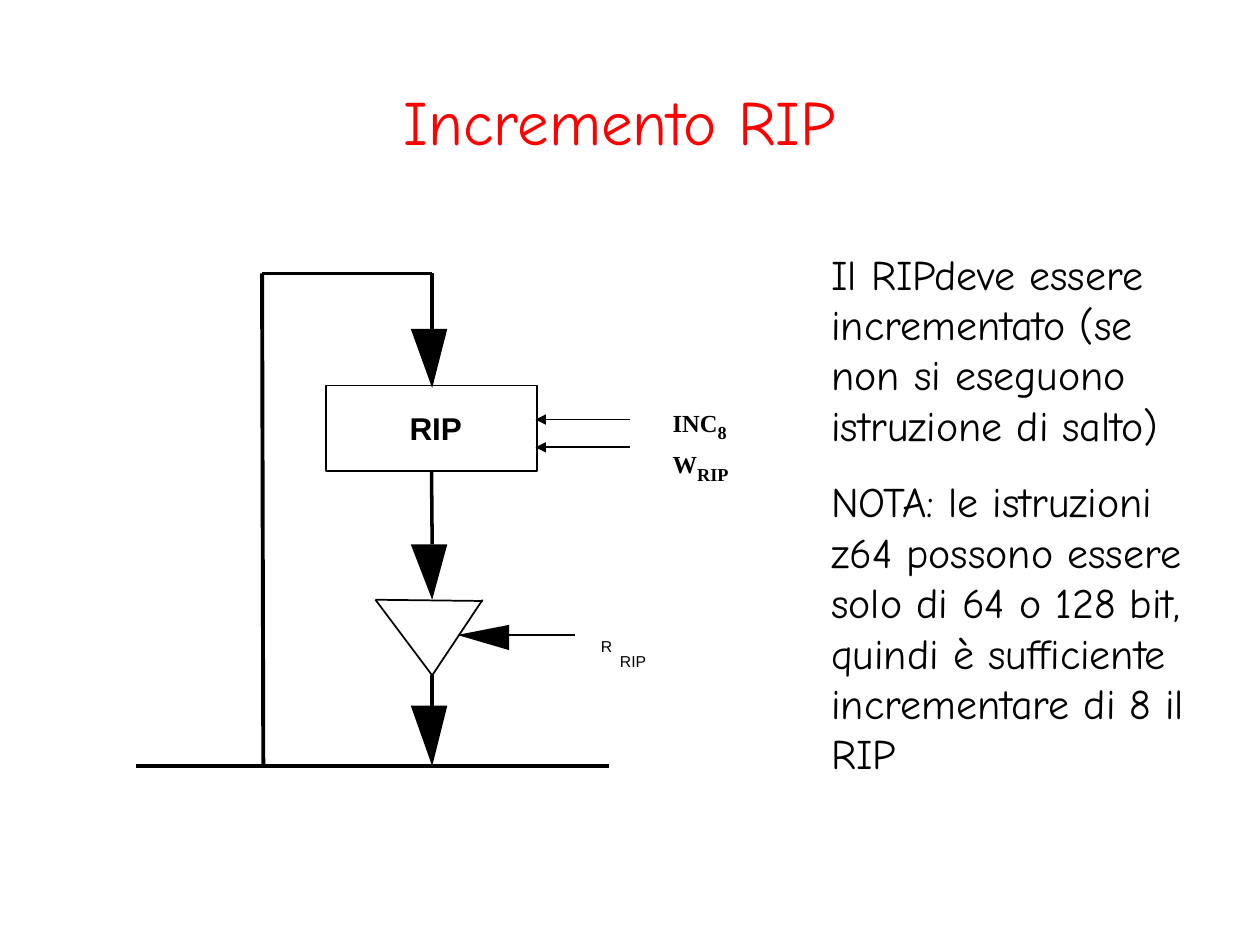
from pptx import Presentation
from pptx import util as u
from pptx.dml.color import RGBColor
from pptx.enum import shapes, text
from pptx.oxml.ns import qn
from lxml import etree

BLACK, RED = "000000", "FF0000"
AXIS = 3.43                      # vertical axis of the data path
BUS_Y, LOOP_X, LOOP_Y = 6.08, 2.08, 2.17
REGISTER = (2.59, 3.06, 1.67, 0.68)

# start, end, width in points, has arrowhead
LINES = [
    ((2.98, 4.76), (3.83, 4.77), 1, False),
    ((2.98, 4.76), (AXIS, 5.36), 1, False),
    ((AXIS, 5.36), (3.83, 4.76), 1, False),
    ((AXIS, 5.36), (AXIS, 5.6), 2, False),
    ((AXIS, LOOP_Y), (AXIS, 2.61), 2, False),
    ((AXIS, LOOP_Y), (LOOP_X, LOOP_Y), 2, False),
    ((LOOP_X, LOOP_Y), (2.09, BUS_Y), 2.25, False),
    ((1.08, BUS_Y), (4.83, BUS_Y), 2.25, False),
    ((4.04, 5.04), (4.56, 5.04), 1, False),
    ((5, 3.33), (4.25, 3.33), 1, True),
    ((5, 3.55), (4.25, 3.55), 1, True),
]
DOWN_HEADS = [(2.61, 3.08), (4.32, 4.76), (5.6, BUS_Y)]   # base, tip
READ_HEAD = [(3.63, 5.04), (4.04, 4.96), (4.04, 5.16)]

COMIC, ARIAL, TIMES = "Comic Neue", "Arial", "Times New Roman"
NOTES = [
    "Il RIPdeve essere incrementato (se non si eseguono istruzione di salto)",
    "NOTA: le istruzioni z64 possono essere solo di 64 o 128 bit, "
    "quindi è sufficiente incrementare di 8 il RIP",
]
# place, paragraphs of (text, size, is subscript) runs, font values, is tight
TEXTS = [
    ((6.5, 1.92, 3.17, 4.31), [[(note, 24, False)] for note in NOTES],
     {"name": COMIC}, False),
    ((3.25, 3.25, 0.42, 0.3), [[("RIP", 18, False)]],
     {"name": ARIAL, "bold": True}, True),
    ((4.77, 5.05, 0.09, 0.15), [[("R", 9, False)]], {"name": ARIAL}, True),
    ((4.92, 5.17, 0.21, 0.15), [[("RIP", 9, False)]], {"name": ARIAL}, True),
    ((5.24, 3.13, 0.77, 0.44), [[("INC", 14, False), ("8", 18, True)]],
     {"name": TIMES, "bold": True}, False),
    ((5.24, 3.46, 0.75, 0.44), [[("W", 14, False), ("RIP", 18, True)]],
     {"name": TIMES, "bold": True}, False),
]


def color(value):
    return RGBColor.from_string(value)


def inches(values):
    return [u.Inches(value) for value in values]


def add_line(slide, start, end, width, arrow=False):
    line = slide.shapes.add_connector(
        shapes.MSO_CONNECTOR.STRAIGHT, *inches(start + end))
    line.line.color.rgb = color(BLACK)
    line.line.width = u.Pt(width)
    properties = line._element.spPr
    if arrow:
        etree.SubElement(properties.find(qn("a:ln")), qn("a:tailEnd"), type="triangle")
    etree.SubElement(properties, qn("a:effectLst"))
    return line


def add_head(slide, points):
    """Draw a filled triangular arrowhead."""
    first, *others = [inches(point) for point in points]
    builder = slide.shapes.build_freeform(*first)
    builder.add_line_segments(others, close=True)
    head = builder.convert_to_shape()
    head.shadow.inherit = False
    head.fill.solid()
    head.fill.fore_color.rgb = color(BLACK)
    head.line.fill.background()


def add_text(slide, place, paragraphs, font, tight=False, ink=BLACK):
    """Add a text box; a tight one has no margins and does not wrap."""
    box = slide.shapes.add_textbox(*inches(place))
    frame = box.text_frame
    frame.word_wrap = not tight
    if tight:
        for side in ("left", "right", "top", "bottom"):
            setattr(frame, f"margin_{side}", 0)
    for index, runs in enumerate(paragraphs):
        paragraph = frame.add_paragraph() if index else frame.paragraphs[0]
        if index:
            paragraph.space_before = u.Pt(15)
        for wording, size, subscript in runs:
            run = paragraph.add_run()
            run.text = wording
            for name, value in {**font, "size": u.Pt(size)}.items():
                setattr(run.font, name, value)
            run.font.color.rgb = color(ink)
            if subscript:
                run._r.get_or_add_rPr().set("baseline", "-25000")
    return frame


def main():
    presentation = Presentation()
    presentation.slide_width, presentation.slide_height = inches((10, 7.5))
    slide = presentation.slides.add_slide(presentation.slide_layouts[6])

    title = add_text(slide, (0.67, 0.33, 8.5, 1.25),
                     [[("Incremento RIP", 36, False)]], {"name": COMIC}, ink=RED)
    title.vertical_anchor = text.MSO_ANCHOR.MIDDLE
    title.paragraphs[0].alignment = text.PP_ALIGN.CENTER

    register = slide.shapes.add_shape(
        shapes.MSO_SHAPE.RECTANGLE, *inches(REGISTER))
    register.shadow.inherit = False
    register.fill.background()
    register.line.color.rgb = color(BLACK)
    register.line.width = u.Pt(1)

    output = add_line(slide, (AXIS, 3.74), (AXIS, 4.32), 2)
    output.begin_connect(register, 2)
    for line in LINES:
        add_line(slide, *line)
    for base, tip in DOWN_HEADS:
        add_head(slide, [(AXIS, tip), (3.26, base), (3.55, base)])
    add_head(slide, READ_HEAD)
    for item in TEXTS:
        add_text(slide, *item)

    presentation.save("out.pptx")


if __name__ == "__main__":
    main()
